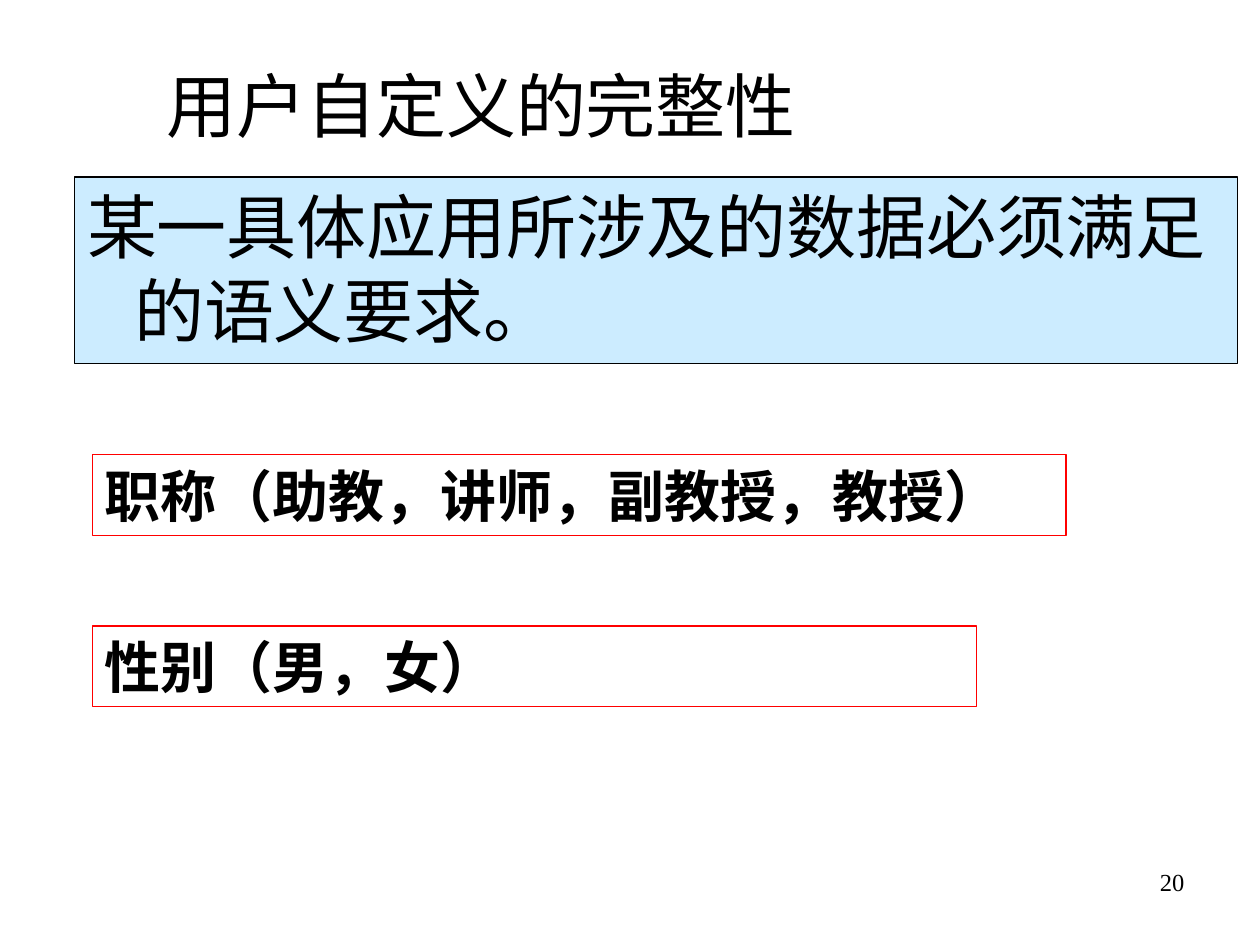
from dataclasses import dataclass

from lxml.etree import SubElement
from pptx import Presentation
from pptx.dml.color import RGBColor
from pptx.enum.shapes import MSO_SHAPE as Kind
from pptx.enum.text import MSO_ANCHOR as Anchor, MSO_AUTO_SIZE as Fit, PP_ALIGN as Align
from pptx.oxml.ns import qn
from pptx.util import Cm, Pt

INK = {"text": "000000", "panel": "CCECFF", "edge": "000000", "rule": "FF0000"}


@dataclass
class Style:
    font: str
    size: int
    bold: bool = False
    align: Align = Align.LEFT
    hang: float = 0


@dataclass
class Sample:
    text: str
    top: float
    width: float


HEAD = Style("Arial", 40)
BODY = Style("Noto Sans CJK JP", 40, hang=0.95)
TERM = Style("Times New Roman", 32, bold=True)
PAGE = Style("Times New Roman", 14, align=Align.RIGHT)

SAMPLES = [
    Sample("职称（助教，讲师，副教授，教授）", 9.17, 19.63),
    Sample("性别（男，女）", 12.62, 17.83),
]


def tint(name: str) -> RGBColor:
    return RGBColor.from_string(INK[name])


def place(shape, left: float, top: float, width: float, height: float) -> None:
    shape.left, shape.top = Cm(left), Cm(top)
    shape.width, shape.height = Cm(width), Cm(height)


def border(shape, name: str) -> None:
    shape.line.color.rgb = tint(name)
    shape.line.width = Pt(0.75)


def indent(para, depth: float) -> None:
    """Give the paragraph a hanging indent and no bullet."""
    props = para._p.get_or_add_pPr()
    props.set("marL", str(Cm(depth)))
    props.set("indent", str(-Cm(depth)))
    SubElement(props, qn("a:buNone"))


def write(shape, text: str, style: Style) -> None:
    frame = shape.text_frame
    frame.word_wrap = True
    frame.auto_size = Fit.NONE
    frame.vertical_anchor = Anchor.TOP
    frame.text = text
    para = frame.paragraphs[0]
    if style.hang:
        indent(para, style.hang)
    para.alignment = style.align
    para.space_before = Pt(0)
    font = para.font
    font.name, font.size, font.bold = style.font, Pt(style.size), style.bold
    font.color.rgb = tint("text")


def frame_term(slide, item: Sample) -> None:
    box = slide.shapes.add_shape(
        Kind.RECTANGLE, Cm(1.86), Cm(item.top), Cm(item.width), Cm(1.62))
    box.shadow.inherit = False
    box.fill.background()
    border(box, "rule")
    write(box, item.text, TERM)


def main() -> None:
    deck = Presentation()
    deck.slide_width, deck.slide_height = Cm(25.4), Cm(19.05)
    slide = deck.slides.add_slide(deck.slide_layouts[1])

    title = slide.shapes.title
    place(title, 3.1, 1.13, 18, 1.96)
    write(title, "用户自定义的完整性", HEAD)

    body = slide.placeholders[1]
    place(body, 1.5, 3.57, 23.45, 3.76)
    body.fill.solid()
    body.fill.fore_color.rgb = tint("panel")
    border(body, "edge")
    write(body, "某一具体应用所涉及的数据必须满足的语义要求。", BODY)

    for item in SAMPLES:
        frame_term(slide, item)

    page = slide.shapes.add_textbox(Cm(18.2), Cm(17.35), Cm(5.93), Cm(1.32))
    write(page, "20", PAGE)

    deck.save("out.pptx")


if __name__ == "__main__":
    main()
